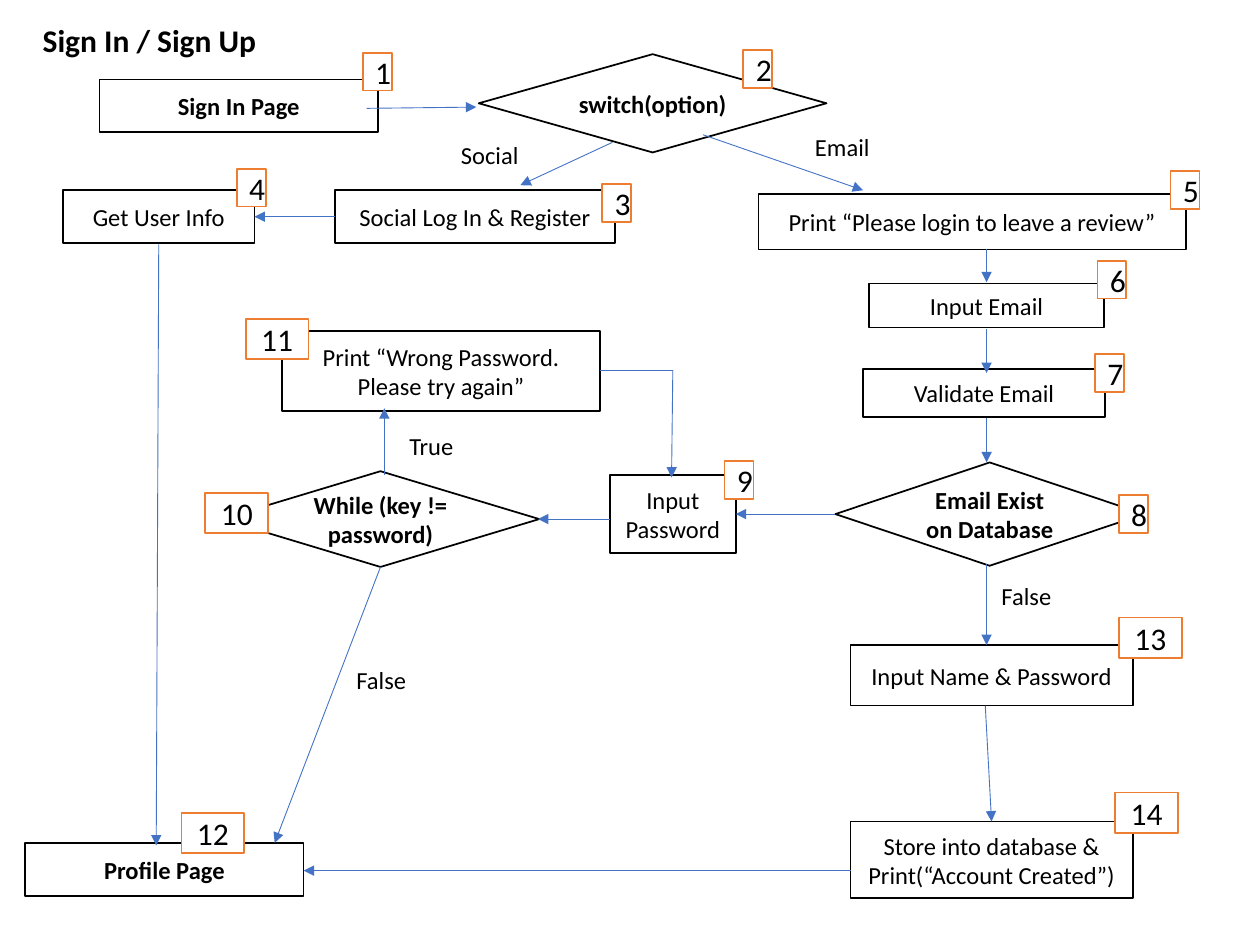
import pptx
import pptx.util
import pptx.dml.color
import pptx.enum.shapes
import pptx.enum.text
import pptx.oxml
import pptx.oxml.ns
from pptx.util import Inches

COLORS = {"paper": "FFFFFF", "ink": "000000", "arrow": "4472C4", "badge": "ED7D31"}
FONT = "Calibri"
BODY_SIZE, LARGE_SIZE = 14, 18

STEPS = [
    ("Sign In Page", "rect", 0.79, 0.63, 2.21, 0.42, True),
    ("switch(option)", "diamond", 3.8, 0.43, 2.76, 0.78, True),
    ("Social Log In & Register", "rect", 2.66, 1.51, 2.22, 0.42, False),
    ("Get User Info", "rect", 0.5, 1.51, 1.52, 0.42, False),
    ("Print “Please login to leave a review”", "rect", 6.02, 1.54, 3.39, 0.44, False),
    ("Input Email", "rect", 6.9, 2.25, 1.86, 0.35, False),
    ("Validate Email", "rect", 6.85, 2.93, 1.92, 0.38, False),
    ("Email Exist on Database", "diamond", 6.63, 3.67, 2.45, 0.82, True),
    ("Input Password", "rect", 4.84, 3.77, 1, 0.62, False),
    ("While (key != password)", "diamond", 1.76, 3.74, 2.52, 0.76, True),
    ("Print “Wrong Password. Please try again”", "rect", 2.24, 2.63, 2.52, 0.63, False),
    ("Profile Page", "rect", 0.2, 6.69, 2.21, 0.42, True),
    ("Input Name & Password", "rect", 6.75, 5.12, 2.24, 0.48, False),
    ("Store into database & Print(“Account Created”)", "rect", 6.75, 6.52, 2.24, 0.61, False),
]

BADGE_CORNERS = [
    (2.88, 0.42), (5.9, 0.4), (4.78, 1.46), (1.88, 1.34), (9.29, 1.36),
    (8.71, 2.07), (8.69, 2.81), (8.88, 3.93), (5.75, 3.66), (1.63, 3.91),
    (1.95, 2.53), (1.44, 6.45), (8.88, 4.9), (8.85, 6.29),
]

ROUTES = [
    [(2.91, 0.86), (3.78, 0.85)],
    [(4.86, 1.13), (4.13, 1.47)],
    [(5.58, 1.07), (6.85, 1.51)],
    [(2.66, 1.72), (2.02, 1.72)],
    [(1.26, 1.94), (1.24, 6.71)],
    [(7.83, 1.98), (7.83, 2.24)],
    [(7.83, 2.61), (7.83, 2.96)],
    [(7.83, 3.32), (7.83, 3.67)],
    [(7.83, 4.48), (7.83, 5.12)],
    [(6.63, 4.08), (5.84, 4.08)],
    [(4.84, 4.12), (4.27, 4.12)],
    [(3.05, 3.77), (3.05, 3.24)],
    [(4.76, 2.94), (5.34, 2.94), (5.33, 3.79)],
    [(3.02, 4.5), (2.18, 6.69)],
    [(7.82, 5.6), (7.87, 6.52)],
    [(6.75, 6.91), (2.41, 6.91)],
]

CAPTIONS = [
    ("Sign In / Sign Up", 0.24, 0.12, 1.91, 0.4, LARGE_SIZE, True),
    ("Social", 3.56, 1.06, 0.77, 0.34, BODY_SIZE, False),
    ("Email", 6.37, 1, 0.64, 0.34, BODY_SIZE, False),
    ("True", 3.15, 3.37, 0.56, 0.34, BODY_SIZE, False),
    ("False", 2.73, 5.23, 0.68, 0.34, BODY_SIZE, False),
    ("False", 7.85, 4.56, 0.6, 0.34, BODY_SIZE, False),
]

OUTLINES = {
    "rect": pptx.enum.shapes.MSO_SHAPE.RECTANGLE,
    "diamond": pptx.enum.shapes.MSO_SHAPE.DIAMOND,
}

deck = pptx.Presentation()
deck.slide_width, deck.slide_height = Inches(10), Inches(7.5)
slide = deck.slides.add_slide(deck.slide_layouts[6])


def color(name):
    return pptx.dml.color.RGBColor.from_string(COLORS[name])


def write(frame, wording, size, bold):
    frame.text = wording
    font = frame.paragraphs[0].runs[0].font
    font.name, font.size, font.bold = FONT, pptx.util.Pt(size), bold
    font.color.rgb = color("ink")


def add_box(wording, outline, left, top, width, height, bold, size=BODY_SIZE, border="ink"):
    box = slide.shapes.add_shape(OUTLINES[outline], *map(Inches, (left, top, width, height)))
    box.shadow.inherit = False
    box.fill.solid()
    box.fill.fore_color.rgb = color("paper")
    box.line.color.rgb = color(border)
    box.line.width = pptx.util.Pt(1)
    write(box.text_frame, wording, size, bold)
    box.text_frame.word_wrap = True
    box.text_frame.vertical_anchor = pptx.enum.text.MSO_ANCHOR.MIDDLE
    box.text_frame.paragraphs[0].alignment = pptx.enum.text.PP_ALIGN.CENTER


def add_segment(start, end, arrowhead):
    segment = slide.shapes.add_connector(
        pptx.enum.shapes.MSO_CONNECTOR.STRAIGHT, *map(Inches, start + end))
    segment.line.color.rgb = color("arrow")
    segment.line.width = pptx.util.Pt(0.5)
    properties = segment.line._get_or_add_ln()
    if arrowhead:
        tail = pptx.oxml.parse_xml(
            f'<a:tailEnd {pptx.oxml.ns.nsdecls("a")} type="triangle"/>')
        properties.append(tail)
    properties.addnext(pptx.oxml.parse_xml(f'<a:effectLst {pptx.oxml.ns.nsdecls("a")}/>'))


for step in STEPS:
    add_box(*step)

for route in ROUTES:
    for start, end in zip(route, route[1:]):
        add_segment(start, end, end == route[-1])

for wording, left, top, width, height, size, bold in CAPTIONS:
    caption = slide.shapes.add_textbox(*map(Inches, (left, top, width, height)))
    write(caption.text_frame, wording, size, bold)
    caption.text_frame.word_wrap = False
    caption.text_frame.auto_size = pptx.enum.text.MSO_AUTO_SIZE.SHAPE_TO_FIT_TEXT

for number, (left, top) in enumerate(BADGE_CORNERS, 1):
    width, height = (0.23, 0.3) if number < 10 else (0.5, 0.32)
    add_box(str(number), "rect", left, top, width, height, False, LARGE_SIZE, "badge")

deck.save("out.pptx")
